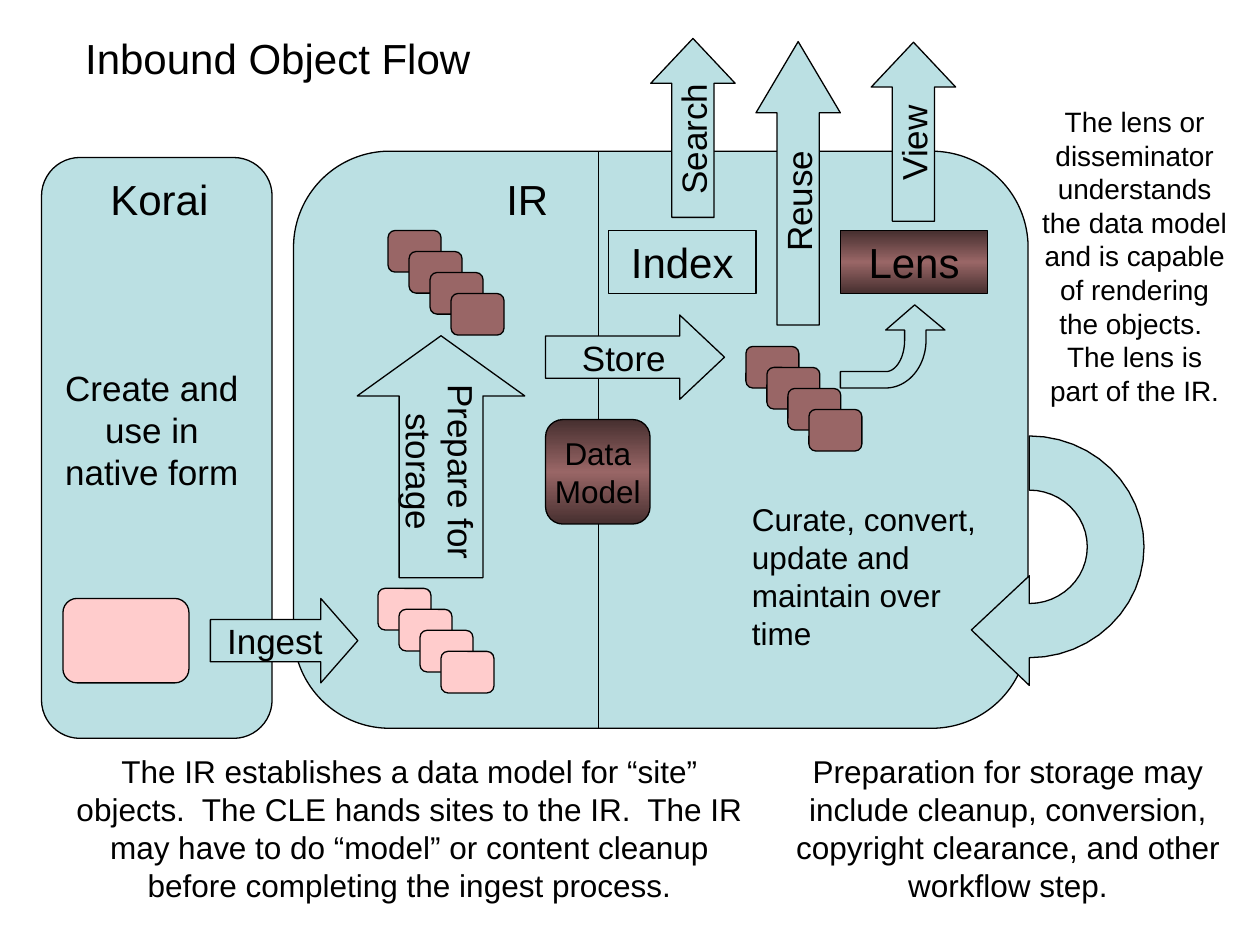
from copy import deepcopy
from math import cos, radians, sin

from lxml.etree import SubElement
from pptx import Presentation
from pptx.dml.color import RGBColor
from pptx.enum.shapes import MSO_CONNECTOR, MSO_SHAPE
from pptx.enum.text import MSO_ANCHOR, PP_ALIGN
from pptx.oxml.ns import qn
from pptx.util import Inches, Pt

BLACK = RGBColor(0x00, 0x00, 0x00)
AQUA = RGBColor(0xBB, 0xE0, 0xE3)
MAROON = RGBColor(0x99, 0x66, 0x66)
DARK_MAROON = RGBColor(0x46, 0x2F, 0x2F)
PINK = RGBColor(0xFF, 0xCC, 0xCC)
ROUND = MSO_SHAPE.ROUNDED_RECTANGLE


def arc(x, y, rx, ry, start, end, steps=24):
    """Return points along an ellipse, with angles in degrees clockwise."""
    angles = [radians(start + (end - start) * i / steps) for i in range(steps + 1)]
    return [(x + rx * cos(a), y + ry * sin(a)) for a in angles]


class FlowSlide:
    """Holds the style of the diagram and the slide it is drawn on."""

    font = "Arial"
    line_width = Pt(0.74)

    def __init__(self, slide):
        """Start drawing on the given slide."""
        self.shapes = slide.shapes

    def set_text(self, shape, text, size, align=PP_ALIGN.CENTER, wrap=False,
                 anchor=MSO_ANCHOR.MIDDLE):
        """Fill a shape with styled paragraphs, one per line of text."""
        frame = shape.text_frame
        frame.text = text
        frame.word_wrap = wrap
        frame.vertical_anchor = anchor
        frame.margin_left = frame.margin_right = Inches(0.1)
        frame.margin_top = frame.margin_bottom = Inches(0.05)
        for paragraph in frame.paragraphs:
            paragraph.alignment = align
            paragraph.font.name = self.font
            paragraph.font.size = Pt(size)
            paragraph.font.color.rgb = BLACK

    def paint(self, shape, color):
        """Give a shape a flat fill and the thin black outline."""
        shape.shadow.inherit = False
        shape.fill.solid()
        shape.fill.fore_color.rgb = color
        shape.line.color.rgb = BLACK
        shape.line.width = self.line_width

    def label(self, x, y, w, h, text, size, **layout):
        """Add free text."""
        box = self.shapes.add_textbox(Inches(x), Inches(y), Inches(w), Inches(h))
        self.set_text(box, text, size, **layout)
        return box

    def block(self, kind, x, y, w, h, color=AQUA, text="", size=20):
        """Add a preset shape with optional text."""
        shape = self.shapes.add_shape(kind, Inches(x), Inches(y), Inches(w), Inches(h))
        self.paint(shape, color)
        if text:
            self.set_text(shape, text, size)
        return shape

    def glossy(self, *args):
        """Add a block shaded dark, light, dark from top to bottom."""
        shape = self.block(*args)
        shape.fill.gradient()
        shape.fill.gradient_angle = 90
        stops = shape.fill.gradient_stops
        for stop, position in zip(stops, (0, 1)):
            stop.color.rgb = DARK_MAROON
            stop.position = position
        stop_list = shape.element.spPr.find(qn("a:gradFill")).find(qn("a:gsLst"))
        stop_list.insert(1, deepcopy(stop_list[0]))
        middle = shape.fill.gradient_stops[1]
        middle.color.rgb = MAROON
        middle.position = 0.5

    def arrow(self, x, y, w, h, text, head, rotation=0, flip=False):
        """Add a labelled block arrow; head is its length relative to height."""
        shape = self.block(MSO_SHAPE.RIGHT_ARROW, x, y, w, h, AQUA, text)
        shape.adjustments[0] = 0.5
        shape.adjustments[1] = head
        shape.rotation = rotation
        if flip:
            shape.element.spPr.find(qn("a:xfrm")).set("flipV", "1")

    def objects(self, x, y, color):
        """Add a cascade of four object cards."""
        for i in range(4):
            self.block(ROUND, x + i / 6, y + i / 6, 0.42, 0.33, color)

    def outline(self, points):
        """Add a closed shape through the given points."""
        corners = [(Inches(x), Inches(y)) for x, y in points]
        builder = self.shapes.build_freeform(*corners[0], scale=1.0)
        builder.add_line_segments(corners[1:], close=True)
        self.paint(builder.convert_to_shape(), AQUA)

    def divider(self, x, top, bottom):
        """Add a vertical line."""
        line = self.shapes.add_connector(
            MSO_CONNECTOR.STRAIGHT, Inches(x), Inches(top), Inches(x), Inches(bottom))
        line.line.color.rgb = BLACK
        line.line.width = self.line_width
        SubElement(line.element.spPr, qn("a:effectLst"))


def build():
    """Draw the inbound object flow and save it."""
    deck = Presentation()
    deck.slide_width, deck.slide_height = Inches(10), Inches(7.5)
    flow = FlowSlide(deck.slides.add_slide(deck.slide_layouts[6]))

    # Systems and the objects they hold
    flow.block(ROUND, 0.33, 1.25, 1.83, 4.61)
    flow.block(ROUND, 2.33, 1.2, 5.83, 4.58)
    flow.objects(3.08, 1.83, MAROON)
    flow.block(ROUND, 0.5, 4.75, 1, 0.67, PINK)
    flow.label(0.29, 0.17, 3.83, 0.58, "Inbound Object Flow", 24)
    flow.divider(4.75, 1.2, 5.78)

    # Ingest, prepare and store
    flow.arrow(1.67, 4.75, 1.17, 0.67, "Ingest", 0.438)
    flow.label(0.33, 2.86, 1.75, 1.1, "Create and use in native form", 20,
               wrap=True, anchor=MSO_ANCHOR.TOP)
    flow.objects(3, 4.67, PINK)
    flow.arrow(2.54, 2.96, 1.92, 1.33, "Prepare for\nstorage", 0.359, 270, flip=True)
    flow.glossy(ROUND, 4.33, 3.33, 0.83, 0.83, MAROON, "Data\nModel", 18)
    flow.arrow(4.33, 2.5, 1.42, 0.67, "Store", 0.531)
    flow.objects(5.92, 2.75, MAROON)

    # Curation loop
    flow.outline(arc(8.17, 4.34, 0.46, 0.45, 90, -90)
                 + arc(8.17, 4.34, 0.91, 0.88, -90, 90)
                 + [(8.17, 5.44), (7.71, 5), (8.17, 4.57)])
    curate = flow.label(5.87, 3.92, 2.13, 1.3,
                        "Curate, convert, update and maintain over time", 18,
                        align=PP_ALIGN.LEFT, wrap=True)
    curate.text_frame.paragraphs[0].space_before = Pt(11.2)

    # Ways out of the repository
    flow.block(MSO_SHAPE.RECTANGLE, 4.83, 1.83, 1.17, 0.5, AQUA, "Index", 24)
    flow.glossy(MSO_SHAPE.RECTANGLE, 6.67, 1.83, 1.17, 0.5, MAROON, "Lens", 24)
    for x, y, length, text, head in ((4.79, 0.68, 1.42, "Search", 0.531),
                                     (6.54, 0.71, 1.42, "View", 0.531),
                                     (5.21, 1.12, 2.25, "Reuse", 0.844)):
        flow.arrow(x, y, length, 0.67, text, head, 270)
    flow.outline([(6.67, 3.08)] + arc(7.03, 2.7, 0.32, 0.38, 90, 0)
                 + [(7.35, 2.62), (7.5, 2.62), (7.26, 2.42), (7.03, 2.62), (7.18, 2.62)]
                 + arc(7.03, 2.7, 0.15, 0.25, 0, 90) + [(6.67, 2.95)])

    # Names and remarks
    flow.label(3.92, 1.33, 0.53, 0.5, "IR", 24)
    flow.label(0.75, 1.33, 1.03, 0.5, "Korai", 24)
    for x, y, w, h, size, text in (
            (0.5, 5.92, 5.5, 1.3, 18,
             "The IR establishes a data model for “site” objects.  The CLE hands "
             "sites to the IR.  The IR may have to do “model” or content cleanup "
             "before completing the ingest process."),
            (8.17, 0.78, 1.67, 2.5, 16,
             "The lens or disseminator understands the data model and is capable "
             "of rendering the objects.  The lens is part of the IR."),
            (6, 5.92, 4, 1.3, 18,
             "Preparation for storage may include cleanup, conversion, copyright "
             "clearance, and other workflow step.")):
        flow.label(x, y, w, h, text, size, wrap=True)

    deck.save("out.pptx")


build()
